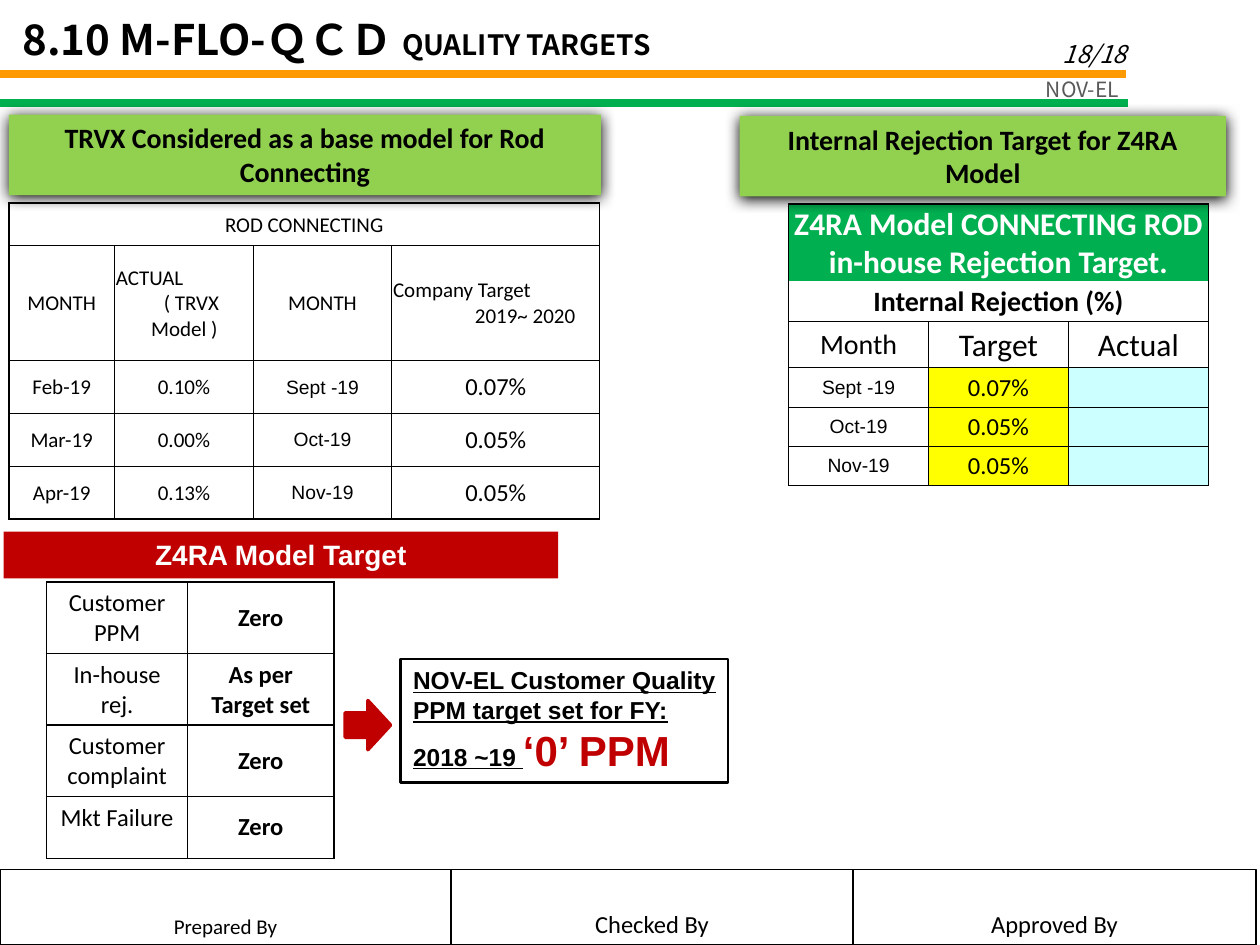
from dataclasses import dataclass

from lxml import etree
from pptx import Presentation
from pptx.dml.color import RGBColor
from pptx.enum.shapes import MSO_CONNECTOR, MSO_SHAPE
from pptx.enum.text import MSO_ANCHOR, PP_ALIGN
from pptx.oxml.ns import qn
from pptx.util import Inches, Pt

LEFT, CENTER, RIGHT = PP_ALIGN.LEFT, PP_ALIGN.CENTER, PP_ALIGN.RIGHT
TOP, MIDDLE, BOTTOM = MSO_ANCHOR.TOP, MSO_ANCHOR.MIDDLE, MSO_ANCHOR.BOTTOM
RECT, ARROW = MSO_SHAPE.RECTANGLE, MSO_SHAPE.RIGHT_ARROW
STRAIGHT = MSO_CONNECTOR.STRAIGHT
NO_STYLE_TABLE = "{2D5ABB26-0587-4C30-8999-92F81FD0307C}"


@dataclass(frozen=True)
class Theme:
    black: str = "000000"
    white: str = "FFFFFF"
    grey: str = "595959"
    orange: str = "FF9900"
    green: str = "00B050"
    lime: str = "92D050"
    red: str = "C00000"
    yellow: str = "FFFF00"
    aqua: str = "CCFFFF"
    body: str = "Calibri"
    plain: str = "Arial"
    heading: str = "Noto Sans CJK JP"
    tiny: int = 11
    small: int = 12
    medium: int = 14
    large: int = 16
    huge: int = 18
    title: int = 24


T = Theme()
SMALL = dict(size=T.small)
MEDIUM = dict(size=T.medium)
BOLD = dict(size=T.medium, bold=True)
TINY = dict(size=T.tiny, name=T.plain)
BANNER = dict(size=T.large, bold=True)


def write(frame, lines, align=CENTER, anchor=TOP):
    """Fill a frame with lines; each line is a list of (text, font format) runs."""
    frame.word_wrap = True
    frame.vertical_anchor = anchor
    for number, runs in enumerate(lines):
        paragraph = frame.add_paragraph() if number else frame.paragraphs[0]
        paragraph.alignment = align
        for text, style in runs:
            run = paragraph.add_run()
            run.text = text
            look = {"name": T.body, "color": T.black, **style}
            run.font.color.rgb = RGBColor.from_string(look.pop("color"))
            look["size"] = Pt(look["size"])
            for key, value in look.items():
                setattr(run.font, key, value)


def add_grid(left, top, widths, heights, rows, inner, bottom, margins, open_below=None):
    """Add a ruled table; a row of one cell spans all columns.

    A cell is (text, font format, fill, anchor), the last two optional.
    """
    width, height = Inches(sum(widths)), Inches(sum(heights))
    frame = slide.shapes.add_table(len(rows), len(widths), Inches(left), Inches(top), width, height)
    table = frame.table
    table.first_row = table.horz_banding = False
    frame._element.find(".//" + qn("a:tableStyleId")).text = NO_STYLE_TABLE
    for column, size in zip(table.columns, widths):
        column.width = Inches(size)
    for row, size in zip(table.rows, heights):
        row.height = Inches(size)
    last_row, last_column = len(rows) - 1, len(widths) - 1
    for r, content in enumerate(rows):
        spanning = len(content) == 1
        if spanning:
            table.cell(r, 0).merge(table.cell(r, last_column))
        for c in range(len(widths)):
            cell = table.cell(r, c)
            edges = {
                "lnL": 1 if c == 0 or spanning else inner,
                "lnR": 1 if c == last_column or spanning else inner,
                "lnT": 1 if r == 0 else 0 if r - 1 == open_below else inner,
                "lnB": bottom if r == last_row else 0 if r == open_below else inner,
            }
            properties = cell._tc.get_or_add_tcPr()
            for tag, points in edges.items():
                edge = etree.SubElement(properties, qn("a:" + tag), w=str(Pt(points)))
                if points:
                    paint = etree.SubElement(edge, qn("a:solidFill"))
                    etree.SubElement(paint, qn("a:srgbClr"), val=T.black)
                else:
                    etree.SubElement(edge, qn("a:noFill"))
            if c >= len(content):
                continue
            text, style, fill, anchor = (*content[c], *(None, MIDDLE)[len(content[c]) - 2:])
            for side, size in zip(("left", "top", "right", "bottom"), margins):
                setattr(cell, "margin_" + side, Inches(size))
            cell.vertical_anchor = anchor
            write(cell.text_frame, [[(text, style)]], anchor=anchor)
            if fill:
                cell.fill.solid()
                cell.fill.fore_color.rgb = RGBColor.from_string(fill)
    return table


prs = Presentation()
prs.slide_width, prs.slide_height = Inches(10), Inches(7.5)
slide = prs.slides.add_slide(prs.slide_layouts[6])

# Header
for y, end, color in ((0.59, 8.94, T.orange), (0.82, 8.95, T.green)):
    rule = slide.shapes.add_connector(STRAIGHT, 0, Inches(y), Inches(end), Inches(y))
    rule.line.color.rgb = RGBColor.from_string(color)
    rule.line.width = Pt(4.5)
    etree.SubElement(rule._element.spPr, qn("a:effectLst"))

heading = dict(name=T.heading, size=T.title, bold=True)
header_texts = (
    (6.96, 0.09, 2.08, 0.5, [("18/18", dict(name=T.heading, size=T.medium, italic=True))], RIGHT, BOTTOM),
    (7.48, 0.56, 1.5, 0.3, [("NOV-EL", dict(name=T.heading, size=T.small, color=T.grey))], RIGHT, TOP),
    (0.08, 0.06, 8.88, 0.5,
     [("8.10 M-FLO-ＱＣＤ ", heading), ("QUALITY TARGETS", {**heading, "size": T.large})], LEFT, TOP),
)
for *place, runs, align, anchor in header_texts:
    box = slide.shapes.add_textbox(*map(Inches, place))
    write(box.text_frame, [runs], align, anchor)

# Tables
tight = (0.01, 0.01, 0.01, 0)
add_grid(0.37, 4.62, (1.12, 1.16), (0.54, 0.54, 0.54, 0.49), [
    [(goal, MEDIUM, None, TOP), (target, BOLD)] for goal, target in (
        ("Customer PPM", "Zero"), ("In-house rej.", "As per Target set"),
        ("Customer complaint", "Zero"), ("Mkt Failure", "Zero"))
], 1, 1, (0.1, 0.05, 0.1, 0.05))

targets = (("Sept -19", "0.07%"), ("Oct-19", "0.05%"), ("Nov-19", "0.05%"))
add_grid(6.26, 1.62, (1.11,) * 3, (0.6, 0.32, 0.37, 0.3, 0.3, 0.31), [
    [("Z4RA Model CONNECTING ROD in-house Rejection Target.",
      dict(size=T.huge, bold=True, color=T.white), T.green)],
    [("Internal Rejection (%)", BANNER)],
    [("Month", dict(size=T.large)), ("Target", dict(size=T.huge)), ("Actual", dict(size=T.huge))],
    *([(month, TINY), (target, MEDIUM, T.yellow), ("", TINY, T.aqua)] for month, target in targets),
], 0.5, 0.5, tight, open_below=0)

actuals = (("Feb-19", "0.10%"), ("Mar-19", "0.00%"), ("Apr-19", "0.13%"))
rod_table = add_grid(0.07, 1.61, (0.84, 1.1, 1.1, 1.65), (0.34, 0.91, 0.42, 0.42, 0.42), [
    [("ROD CONNECTING", SMALL)],
    [("MONTH", SMALL), ("", SMALL), ("MONTH", SMALL), ("", SMALL)],
    *([(past, SMALL), (actual, SMALL), (month, TINY), (target, MEDIUM)]
      for (past, actual), (month, target) in zip(actuals, targets)),
], 0.5, 1, tight)
stepped_headings = {
    1: (("ACTUAL", 0), ("( TRVX", 0.38), ("Model )", 0.28)),
    3: (("Company Target", 0), ("2019~ 2020", 0.65)),
}
for column, steps in stepped_headings.items():
    frame = rod_table.cell(1, column).text_frame
    frame.clear()
    write(frame, [[(text, SMALL)] for text, _ in steps], LEFT, MIDDLE)
    for paragraph, (_, indent) in zip(frame.paragraphs, steps):
        paragraph._p.get_or_add_pPr().set("marL", str(Inches(indent)))

# Banners, target note and sign-off boxes
note = dict(name=T.plain, size=T.medium, bold=True, underline=True)
shapes = (
    (RECT, 0.03, 4.22, 4.4, 0.37, T.red, None, 0,
     [("Z4RA Model Target", {**BANNER, "name": T.plain, "color": T.white})], CENTER, TOP),
    (ARROW, 2.74, 5.56, 0.36, 0.39, T.red, T.red, 2, [], CENTER, TOP),
    (RECT, 3.18, 5.23, 2.6, 0.98, None, T.black, 1.5,
     [("NOV-EL Customer Quality PPM target set for FY: 2018 ~19 ", note),
      ("‘0’ PPM", {**note, "size": T.title, "color": T.red, "underline": False})], LEFT, TOP),
    (RECT, 5.87, 0.92, 3.86, 0.64, T.lime, None, 0,
     [("Internal Rejection Target for Z4RA Model", BANNER)], CENTER, TOP),
    (RECT, 0.07, 0.91, 4.7, 0.64, T.lime, None, 0,
     [("TRVX Considered as a base model for Rod Connecting", BANNER)], CENTER, TOP),
    (RECT, 0, 6.9, 3.58, 0.6, None, T.black, 0.75, [("Prepared By", SMALL)], CENTER, BOTTOM),
    (RECT, 3.58, 6.9, 3.19, 0.6, None, T.black, 0.75, [("Checked By", MEDIUM)], CENTER, BOTTOM),
    (RECT, 6.77, 6.9, 3.2, 0.6, None, T.black, 0.75, [("Approved By", MEDIUM)], CENTER, BOTTOM),
)
for kind, *place, fill, line, weight, runs, align, anchor in shapes:
    shape = slide.shapes.add_shape(kind, *map(Inches, place))
    shape.shadow.inherit = False
    for paint, color in ((shape.fill, fill), (shape.line.fill, line)):
        if color:
            paint.solid()
            paint.fore_color.rgb = RGBColor.from_string(color)
        else:
            paint.background()
    if line:
        shape.line.width = Pt(weight)
    if runs:
        write(shape.text_frame, [runs], align, anchor)
    if fill == T.lime:
        effects = shape._element.spPr.find(qn("a:effectLst"))
        shadow = etree.SubElement(effects, qn("a:outerShdw"), blurRad=str(Pt(8.5)),
                                  dist=str(Pt(1)), dir="5400000", rotWithShape="0")
        etree.SubElement(shadow, qn("a:srgbClr"), val=T.black)

prs.save("out.pptx")
